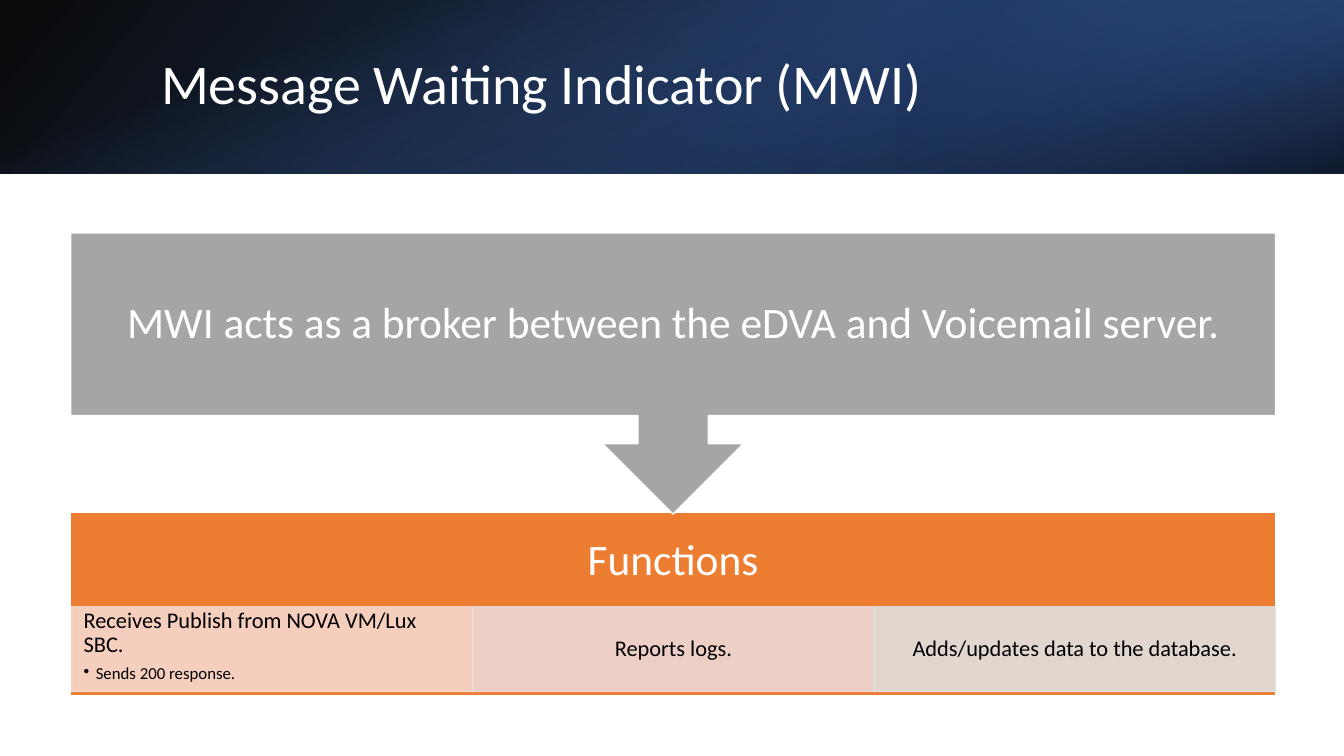
from lxml.etree import SubElement
from pptx import Presentation
from pptx.dml.color import RGBColor
from pptx.enum.shapes import MSO_SHAPE
from pptx.enum.text import MSO_ANCHOR, PP_ALIGN
from pptx.oxml.ns import qn
from pptx.util import Inches, Pt

WHITE = RGBColor(0xFF, 0xFF, 0xFF)
BLACK = RGBColor(0x00, 0x00, 0x00)
BLUE = RGBColor(0x44, 0x72, 0xC4)
DARK_BLUE = RGBColor(0x2F, 0x55, 0x97)
NAVY = RGBColor(0x20, 0x38, 0x64)
GRAY = RGBColor(0xA5, 0xA5, 0xA5)
ORANGE = RGBColor(0xED, 0x7D, 0x31)
PEACH = RGBColor(0xF8, 0xD7, 0xCE)
ROSE = RGBColor(0xED, 0xD9, 0xD7)
SILVER = RGBColor(0xE1, 0xE1, 0xE1)

SLIDE_WIDTH, SLIDE_HEIGHT = 13.33, 7.5
BANNER_HEIGHT = 1.72
BANNER_OFFSET = (SLIDE_WIDTH - BANNER_HEIGHT) / 2
PANEL_LEFT, PANEL_WIDTH = 0.7, 11.95
CELL_LEFT, CELL_TOP, CELL_WIDTH, CELL_HEIGHT = 0.71, 6.02, 3.98, 0.84


class SlideBuilder:
    font = "Calibri"

    def __init__(self, page):
        self.page = page

    def shape(self, preset, frame, rotation=0, flip=False):
        box = self.page.shapes.add_shape(preset, *map(Inches, frame))
        box.shadow.inherit = False
        box.rotation = rotation
        if flip:
            box.element.spPr.get_or_add_xfrm().set("flipH", "1")
        return box

    def opacity(self, box, percents):
        for color, percent in zip(box.element.spPr.iter(qn("a:srgbClr")), percents):
            SubElement(color, qn("a:alpha")).set("val", str(percent * 1000))

    def gradient(self, frame, stops, angle, rotation=0, flip=False):
        box = self.shape(MSO_SHAPE.RECTANGLE, frame, rotation, flip)
        box.line.fill.background()
        box.fill.gradient()
        box.fill.gradient_angle = 360 - angle
        for stop, (position, color, _) in zip(box.fill.gradient_stops, stops):
            stop.position = position / 100
            stop.color.rgb = color
        self.opacity(box, [percent for _, _, percent in stops])

    def solid(self, preset, frame, color, line_color, rotation=0):
        box = self.shape(preset, frame, rotation)
        box.fill.solid()
        box.fill.fore_color.rgb = color
        box.line.color.rgb = line_color
        box.line.width = Pt(1)
        return box

    def text_area(self, box, margins, anchor=MSO_ANCHOR.MIDDLE):
        area = box.text_frame
        area.word_wrap = True
        area.vertical_anchor = anchor
        area.margin_left = area.margin_right = Inches(margins[0])
        area.margin_top = area.margin_bottom = Inches(margins[1])
        return area

    def text(self, para, words, size, color, align=PP_ALIGN.CENTER, after=0.35):
        para.alignment = align
        para.line_spacing = 0.9
        para.space_after = Pt(round(size * after, 1))
        span = para.add_run()
        span.text = words
        span.font.name = self.font
        span.font.size = Pt(size)
        span.font.color.rgb = color

    def label(self, frame, words, size, margins=(0.24, 0.24), align=PP_ALIGN.CENTER):
        box = self.page.shapes.add_textbox(*map(Inches, frame))
        para = self.text_area(box, margins).paragraphs[0]
        self.text(para, words, size, WHITE, align)

    def cell(self, frame, color, words, detail=None):
        box = self.solid(MSO_SHAPE.RECTANGLE, frame, color, color)
        self.opacity(box, (90, 90))
        anchor = MSO_ANCHOR.TOP if detail else MSO_ANCHOR.MIDDLE
        align = PP_ALIGN.LEFT if detail else PP_ALIGN.CENTER
        area = self.text_area(box, (0.12, 0.02), anchor)
        self.text(area.paragraphs[0], words, 16, BLACK, align)
        if detail:
            self.bullet(area.add_paragraph(), detail)

    def bullet(self, para, words):
        para.level = 1
        self.text(para, words, 12, BLACK, PP_ALIGN.LEFT, 0.15)
        properties = para._p.get_or_add_pPr()
        properties.set("marL", str(Inches(0.12)))
        properties.set("indent", str(Inches(-0.12)))
        SubElement(properties, qn("a:buChar")).set("char", "•")


def main():
    deck = Presentation()
    deck.slide_width = Inches(SLIDE_WIDTH)
    deck.slide_height = Inches(SLIDE_HEIGHT)
    builder = SlideBuilder(deck.slides.add_slide(deck.slide_layouts[6]))

    builder.gradient((0, 0, SLIDE_WIDTH, BANNER_HEIGHT),
                     [(0, BLACK, 96), (100, DARK_BLUE, 100)], 140, flip=True)
    builder.gradient((8.89, 0, 4.44, BANNER_HEIGHT),
                     [(19, NAVY, 68), (100, BLUE, 79)], 320, rotation=180, flip=True)
    builder.gradient((BANNER_OFFSET, -BANNER_OFFSET, BANNER_HEIGHT, SLIDE_WIDTH),
                     [(23, BLUE, 0), (99, BLACK, 74)], 340, rotation=90)
    builder.label((1.5, 0.38, 10.98, 0.96), "Message Waiting Indicator (MWI)", 40,
                  (0.1, 0.05), PP_ALIGN.LEFT)

    builder.solid(MSO_SHAPE.RECTANGLE, (PANEL_LEFT, 5.08, PANEL_WIDTH, 1.82), ORANGE, WHITE)
    builder.label((PANEL_LEFT, 5.08, PANEL_WIDTH, 0.98), "Functions", 31)

    functions = [
        (PEACH, "Receives Publish from NOVA VM/Lux SBC.", "Sends 200 response."),
        (ROSE, "Reports logs.", None),
        (SILVER, "Adds/updates data to the database.", None),
    ]
    for index, (color, words, detail) in enumerate(functions):
        left = CELL_LEFT + index * CELL_WIDTH
        builder.cell((left, CELL_TOP, CELL_WIDTH, CELL_HEIGHT), color, words, detail)

    builder.solid(MSO_SHAPE.UP_ARROW_CALLOUT, (PANEL_LEFT, 2.31, PANEL_WIDTH, 2.79),
                  GRAY, WHITE, rotation=180)
    builder.label((PANEL_LEFT, 2.31, PANEL_WIDTH, 1.81),
                  "MWI acts as a broker between the eDVA and Voicemail server.", 31)

    deck.save("out.pptx")


if __name__ == "__main__":
    main()
